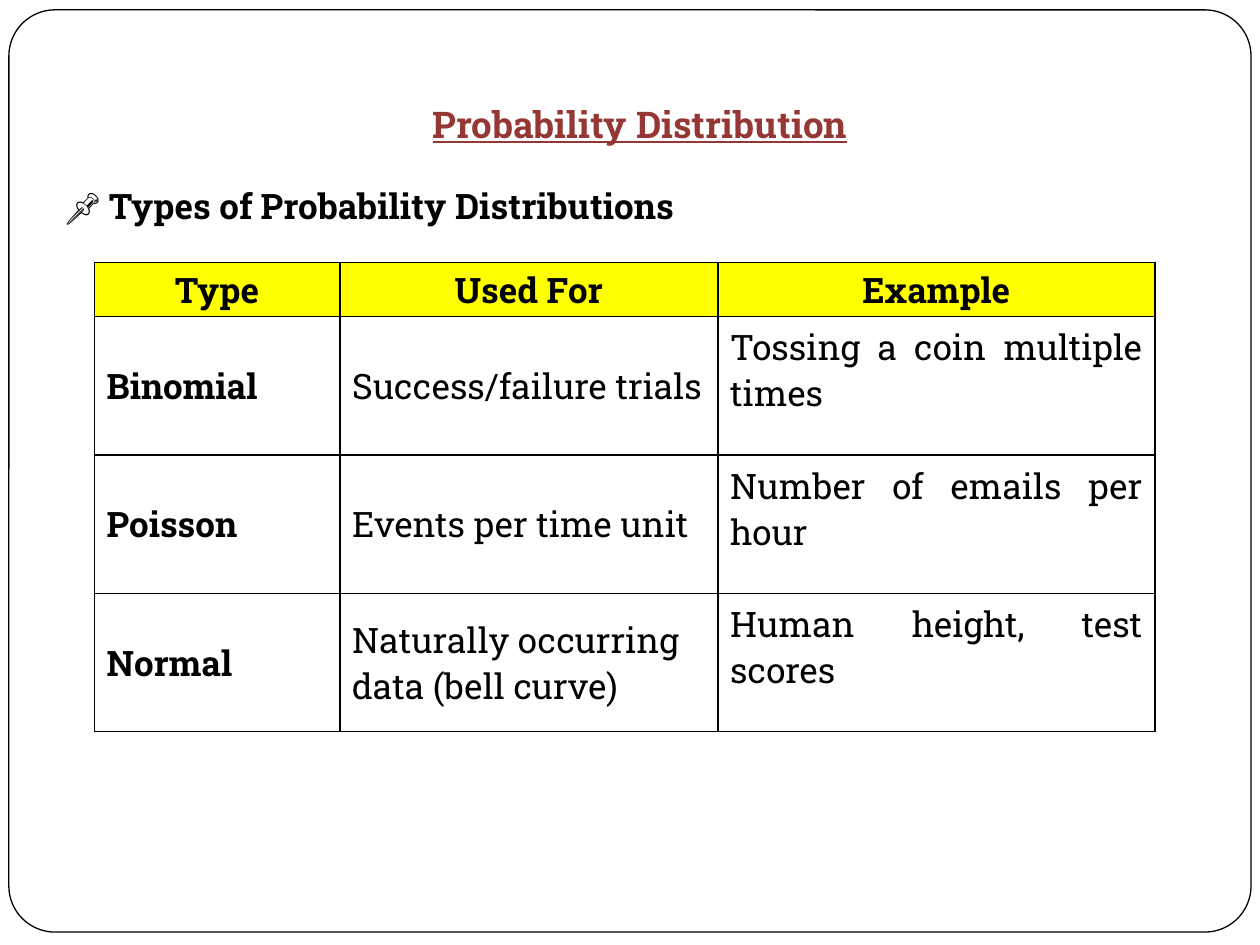
from dataclasses import dataclass
from typing import Optional

from pptx import Presentation
from pptx.dml.color import RGBColor
from pptx.enum.shapes import MSO_SHAPE
from pptx.enum.text import MSO_ANCHOR, PP_ALIGN
from pptx.oxml import parse_xml
from pptx.oxml.ns import nsdecls
from pptx.util import Cm, Pt


@dataclass(frozen=True)
class Theme:
    font: str = "Roboto Slab"
    ink: str = "000000"
    title: str = "953735"
    header: str = "FFFF00"
    title_size: int = 21
    body_size: int = 20
    frame_line: float = 0.75
    grid_line: int = 1


@dataclass(frozen=True)
class TextRun:
    text: str
    bold: bool = False
    underline: bool = False
    color: str = Theme.ink
    size: int = Theme.body_size


@dataclass(frozen=True)
class Caption:
    left: float
    top: float
    width: float
    height: float
    runs: tuple[TextRun, ...]
    align: PP_ALIGN = PP_ALIGN.LEFT


@dataclass(frozen=True)
class Column:
    heading: str
    width: float
    bold: bool = False
    align: PP_ALIGN = PP_ALIGN.LEFT
    anchor: MSO_ANCHOR = MSO_ANCHOR.MIDDLE


THEME = Theme()

CAPTIONS = (
    Caption(1.47, 1.93, 22.86, 1.2,
            (TextRun("Probability Distribution", True, True, THEME.title, THEME.title_size),),
            PP_ALIGN.CENTER),
    Caption(1.07, 3.6, 14.35, 1.12,
            (TextRun("📌 "), TextRun("Types of Probability Distributions", True))),
)

COLUMNS = (
    Column("Type", 4.95, bold=True),
    Column("Used For", 7.62),
    Column("Example", 8.81, align=PP_ALIGN.JUSTIFY, anchor=MSO_ANCHOR.TOP),
)
DISTRIBUTIONS = (
    ("Binomial", "Success/failure trials", "Tossing a coin multiple times"),
    ("Poisson", "Events per time unit", "Number of emails per hour"),
    ("Normal", "Naturally occurring data (bell curve)", "Human height, test scores"),
)
HEADER_HEIGHT, ROW_HEIGHT = 1.09, 2.79


def write_runs(frame, runs: tuple[TextRun, ...], align: PP_ALIGN) -> None:
    paragraph = frame.paragraphs[0]
    paragraph.alignment = align
    for part in runs:
        run = paragraph.add_run()
        run.text = part.text
        run.font.name = THEME.font
        run.font.size = Pt(part.size)
        run.font.bold = part.bold
        run.font.underline = part.underline
        run.font.color.rgb = RGBColor.from_string(part.color)


def draw_frame(slide) -> None:
    border = slide.shapes.add_shape(MSO_SHAPE.ROUNDED_RECTANGLE,
                                    Cm(0.18), Cm(0.2), Cm(25.04), Cm(18.59))
    border.adjustments[0] = 0.05
    border.shadow.inherit = False
    border.fill.background()
    border.line.color.rgb = RGBColor.from_string(THEME.ink)
    border.line.width = Pt(THEME.frame_line)


def draw_caption(slide, caption: Caption) -> None:
    box = slide.shapes.add_textbox(Cm(caption.left), Cm(caption.top),
                                   Cm(caption.width), Cm(caption.height))
    box.text_frame.word_wrap = True
    write_runs(box.text_frame, caption.runs, caption.align)


def outline_cell(cell) -> None:
    properties = cell._tc.get_or_add_tcPr()
    for position, side in enumerate(("lnL", "lnR", "lnT", "lnB")):
        properties.insert(position, parse_xml(
            f'<a:{side} {nsdecls("a")} w="{Pt(THEME.grid_line)}"><a:solidFill>'
            f'<a:srgbClr val="{THEME.ink}"/></a:solidFill></a:{side}>'))


def fill_cell(cell, run: TextRun, align: PP_ALIGN, anchor: MSO_ANCHOR,
              color: Optional[str] = None) -> None:
    cell.margin_left = cell.margin_right = Cm(0.25)
    cell.margin_top = Cm(0.15 if anchor == MSO_ANCHOR.TOP else 0.08)
    cell.margin_bottom = Cm(0.08)
    cell.vertical_anchor = anchor
    if color:
        cell.fill.solid()
        cell.fill.fore_color.rgb = RGBColor.from_string(color)
    else:
        cell.fill.background()
    outline_cell(cell)
    write_runs(cell.text_frame, (run,), align)


def draw_distributions(slide) -> None:
    width = sum(column.width for column in COLUMNS)
    height = HEADER_HEIGHT + ROW_HEIGHT * len(DISTRIBUTIONS)
    grid = slide.shapes.add_table(len(DISTRIBUTIONS) + 1, len(COLUMNS),
                                  Cm(1.9), Cm(5.29), Cm(width), Cm(height)).table
    grid.first_row = grid.horz_banding = False

    # Row heights
    grid.rows[0].height = Cm(HEADER_HEIGHT)
    for row in range(1, len(DISTRIBUTIONS) + 1):
        grid.rows[row].height = Cm(ROW_HEIGHT)

    # Heading and entries of each column
    for index, column in enumerate(COLUMNS):
        grid.columns[index].width = Cm(column.width)
        fill_cell(grid.cell(0, index), TextRun(column.heading, True),
                  PP_ALIGN.CENTER, MSO_ANCHOR.MIDDLE, THEME.header)
        for row, entry in enumerate(DISTRIBUTIONS, start=1):
            fill_cell(grid.cell(row, index), TextRun(entry[index], column.bold),
                      column.align, column.anchor)


def main() -> None:
    deck = Presentation()
    deck.slide_width, deck.slide_height = Cm(25.4), Cm(19.05)
    slide = deck.slides.add_slide(deck.slide_layouts[6])
    draw_frame(slide)
    for caption in CAPTIONS:
        draw_caption(slide, caption)
    draw_distributions(slide)
    deck.save("out.pptx")


if __name__ == "__main__":
    main()
